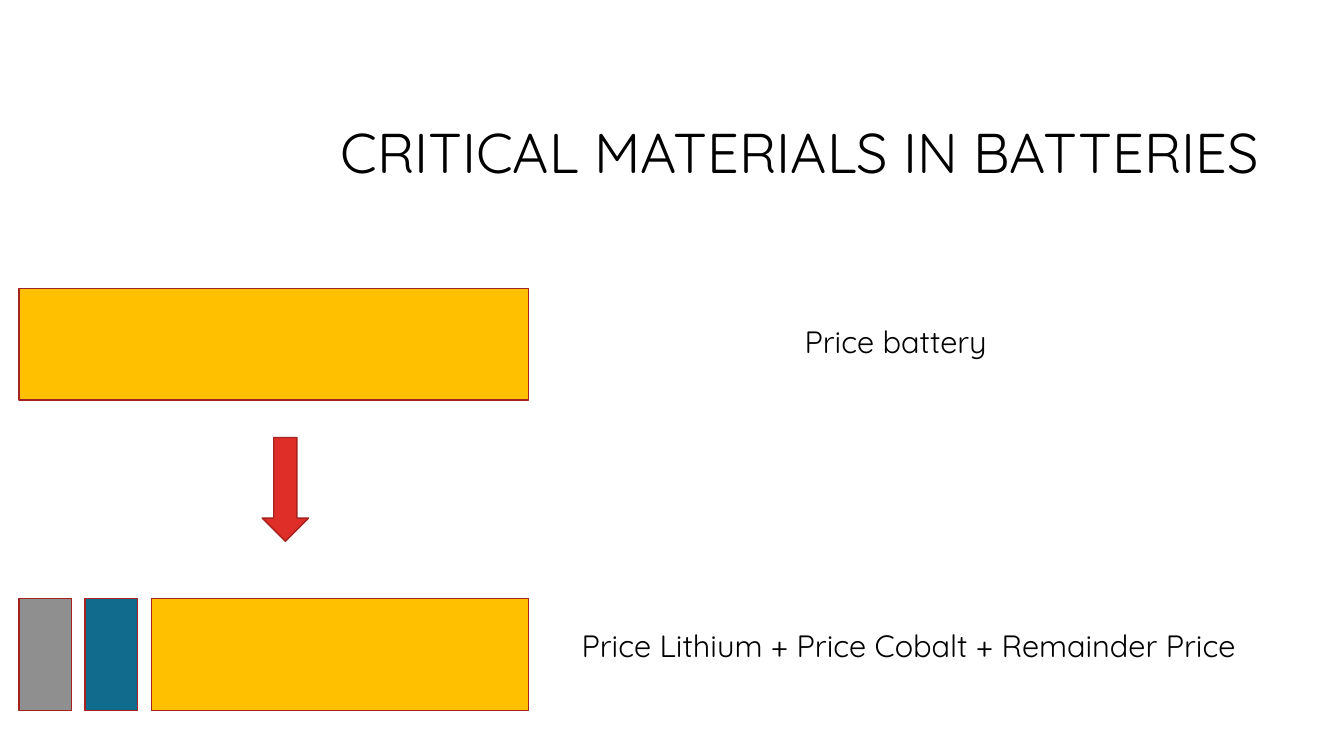
from pptx import Presentation
from pptx.util import Inches, Pt
from pptx.dml.color import RGBColor
from pptx.enum.shapes import MSO_SHAPE as Kind
from pptx.enum.text import PP_ALIGN as Align, MSO_ANCHOR as Anchor, MSO_AUTO_SIZE as Fit
from lxml.etree import SubElement
from pptx.oxml.ns import qn


def paint(target, color):
    target.solid()
    target.fore_color.rgb = RGBColor.from_string(color)


def write(box, text, size, align, anchor, area):
    box.left, box.top, box.width, box.height = [Inches(n) for n in area]
    frame = box.text_frame
    frame.text = text
    frame.word_wrap = True
    frame.auto_size = Fit.NONE
    frame.vertical_anchor = anchor
    para = frame.paragraphs[0]
    para.alignment = align
    para.line_spacing = 0.9
    para.space_before = Pt(10 if size < 40 else 0)
    font = para.runs[0].font
    font.name = "Quicksand"
    font.size = Pt(size)
    paint(font.fill, "000000")
    return para


deck = Presentation()
deck.slide_width, deck.slide_height = Inches(13.33), Inches(7.5)
slide = deck.slides.add_slide(deck.slide_layouts[1])
shapes = slide.shapes
paint(slide.background.fill, "FFFFFF")

title, body = slide.placeholders
write(title, "CRITICAL MATERIALS IN BATTERIES", 40, Align.RIGHT, Anchor.MIDDLE,
      (3.17, 0.84, 9.42, 1.41))
para = write(body, "Price battery", 22, Align.LEFT, Anchor.TOP, (7.88, 3.19, 2.66, 0.97))
props = para._p.get_or_add_pPr()
props.set("marL", "0")
props.set("indent", "0")
SubElement(props, qn("a:buNone"))

note = shapes.add_textbox(0, 0, 0, 0)
write(note, "Price Lithium + Price Cobalt + Remainder Price", 22, Align.LEFT, Anchor.TOP,
      (5.67, 6.21, 7.12, 0.91))

left, right, tall = 0.19, 5.24, 1.11
thin, gap = 0.52, 0.135
step = thin + gap
rest = left + 2 * step
parts = [
    (Kind.DOWN_ARROW, 2.6, 4.34, 0.46, 1.03, "DF2E28"),
    (Kind.RECTANGLE, left, 2.86, right - left, tall, "FFC000"),
    (Kind.RECTANGLE, left, 5.94, thin, tall, "8F8F8F"),
    (Kind.RECTANGLE, left + step, 5.94, thin, tall, "116B8C"),
    (Kind.RECTANGLE, rest, 5.94, right - rest, tall, "FFC000"),
]
for kind, x, y, wide, high, color in parts:
    part = shapes.add_shape(kind, Inches(x), Inches(y), Inches(wide), Inches(high))
    part.shadow.inherit = False
    paint(part.fill, color)
    paint(part.line.fill, "A5221E")
    part.line.width = Pt(1)

deck.save("out.pptx")
